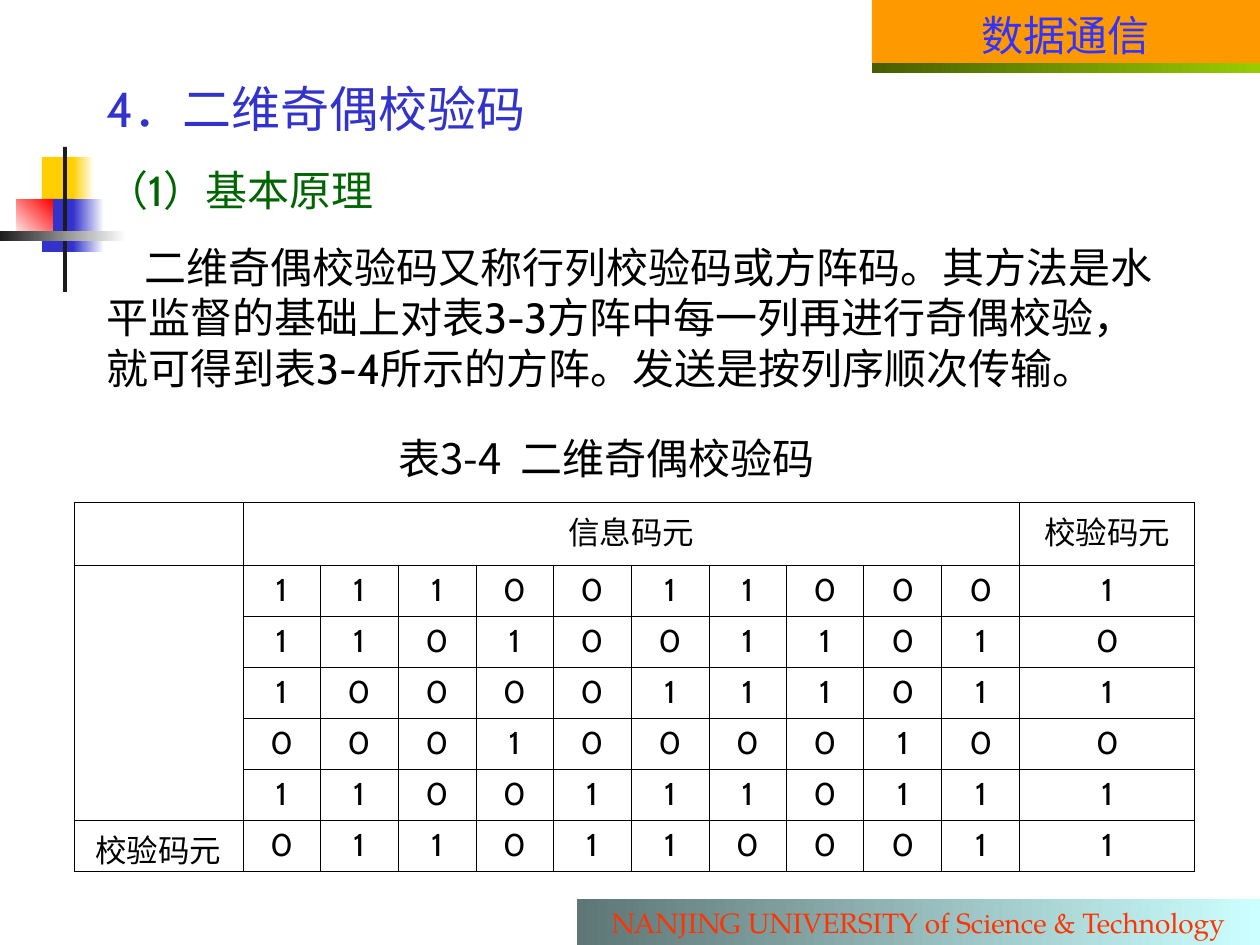
"""Build the slide on the two-dimensional parity check code."""
from dataclasses import dataclass
from typing import Optional

from lxml import etree
from pptx import Presentation
from pptx.dml.color import RGBColor
from pptx.enum.shapes import MSO_SHAPE
from pptx.enum.text import PP_ALIGN
from pptx.oxml.ns import qn
from pptx.util import Emu, Pt

RECT = MSO_SHAPE.RECTANGLE
CENTER, LEFT = PP_ALIGN.CENTER, PP_ALIGN.LEFT
LATIN, CJK, SERIF = "Cabin", "Noto Sans CJK SC", "TeX Gyre Pagella"
COLORS = {
    "yellow": "FFCF01", "white": "FFFFFF", "blue": "3333CC", "red": "FF0000",
    "dark": "1C1C1C", "orange": "FF9900", "teal": "5E7676", "aqua": "CCFFFF",
    "olive": "475E00", "lime": "99CC00", "banner": "3333FF", "footer": "FF3300",
    "title": "3232CC", "green": "006500", "black": "000000",
}
BITS = ["11100110001", "11010011010", "10000111011",
        "00010000100", "11001110111", "01101100011"]


@dataclass
class Panel:
    box: tuple[int, int, int, int]
    start: str
    end: Optional[str] = None
    angle: int = 0


@dataclass
class Line:
    segments: list[tuple[str, str]]
    size: int
    color: str
    align: PP_ALIGN = LEFT
    before: int = 0
    spacing: Optional[float] = None
    indent: int = 0


PANELS = [
    Panel((42, 157, 36, 48), "yellow"),
    Panel((73, 157, 21, 53), "yellow", "white"),
    Panel((42, 199, 31, 53), "blue"),
    Panel((73, 199, 31, 53), "blue", "white"),
    Panel((17, 199, 36, 42), "white", "red", 45),
    Panel((63, 147, 4, 145), "dark"),
    Panel((0, 231, 126, 10), "dark", "white"),
    Panel((872, 63, 388, 10), "olive", "lime"),
]
BODY = [
    Line([("4", LATIN), ("．二维奇偶校验码", CJK)], 28, "title", spacing=34),
    Line([("（", CJK), ("1", LATIN), ("）基本原理", CJK)], 24, "green", before=15, spacing=29),
    Line([("二维奇偶校验码又称行列校验码或方阵码。其方法是水平监督的基础上对表", CJK),
          ("3-3", LATIN), ("方阵中每一列再进行奇偶校验，就可得到表", CJK),
          ("3-4", LATIN), ("所示的方阵。发送是按列序顺次传输。", CJK)],
         24, "black", before=15, spacing=29, indent=38),
]


def px(n: int) -> Emu:
    """Convert slide pixels to EMU."""
    return Emu(round(n * 914400 / 126))


def rgb(name: str) -> RGBColor:
    """Look up a palette colour."""
    return RGBColor.from_string(COLORS[name])


def draw_panel(s, panel: Panel):
    """Draw a borderless rectangle with a flat or gradient fill."""
    sp = s.shapes.add_shape(RECT, *map(px, panel.box))
    sp.shadow.inherit = False
    sp.line.fill.background()
    if panel.end:
        sp.fill.gradient()
        sp.fill.gradient_angle = panel.angle
        for position, (stop, name) in enumerate(zip(sp.fill.gradient_stops, (panel.start, panel.end))):
            stop.position = position
            stop.color.rgb = rgb(name)
    else:
        sp.fill.solid()
        sp.fill.fore_color.rgb = rgb(panel.start)
    return sp


def write_line(p, line: Line) -> None:
    """Fill a paragraph with the runs of a line."""
    p.alignment = line.align
    if line.before:
        p.space_before = Pt(line.before)
    if line.spacing:
        p.line_spacing = Pt(line.spacing)
    if line.indent:
        p._p.get_or_add_pPr().set("indent", str(px(line.indent)))
    for text, face in line.segments:
        r = p.add_run()
        r.text = text
        r.font.size = Pt(line.size)
        r.font.name = face
        r.font.color.rgb = rgb(line.color)
        ea = etree.SubElement(r._r.get_or_add_rPr(), qn("a:ea"))
        ea.set("typeface", CJK)


def write_frame(sp, lines: list[Line], top: int = 9, bottom: int = 3) -> None:
    """Write lines into a wrapping text frame."""
    tf = sp.text_frame
    tf.word_wrap = True
    tf.margin_top, tf.margin_bottom = px(top), px(bottom)
    for i, line in enumerate(lines):
        write_line(tf.add_paragraph() if i else tf.paragraphs[0], line)


def draw_text(s, box: tuple[int, int, int, int], lines: list[Line]) -> None:
    """Add a text box with the given lines."""
    write_frame(s.shapes.add_textbox(*map(px, box)), lines)


def style_cell(cell) -> None:
    """Give a cell thin black borders and no fill."""
    cell.fill.background()
    tcPr = cell._tc.get_or_add_tcPr()
    for i, side in enumerate(("lnL", "lnR", "lnT", "lnB")):
        ln = etree.Element(qn(f"a:{side}"), w=str(Pt(0.45)))
        fill = etree.SubElement(ln, qn("a:solidFill"))
        etree.SubElement(fill, qn("a:srgbClr"), val=COLORS["black"])
        tcPr.insert(i, ln)


def draw_table(s) -> None:
    """Draw the parity table with its merged headings."""
    bits_width = 777
    edges = [i * bits_width // 10 for i in range(11)]
    widths = [169] + [b - a for a, b in zip(edges, edges[1:])] + [175]
    heights = [63] + [51] * len(BITS)
    box = (74, 502, sum(widths), sum(heights))
    table = s.shapes.add_table(len(heights), len(widths), *map(px, box)).table
    table.first_row = table.horz_banding = False
    for column, width in zip(table.columns, widths):
        column.width = px(width)
    for row, height in zip(table.rows, heights):
        row.height = px(height)
    for cell in table.iter_cells():
        style_cell(cell)
    table.cell(0, 1).merge(table.cell(0, 10))
    table.cell(1, 0).merge(table.cell(5, 0))
    table.cell(6, 0).margin_bottom = 0
    values = {(0, 1): "信息码元", (0, 11): "校验码元", (6, 0): "校验码元"}
    values.update({(i, j): bit for i, bits in enumerate(BITS, 1) for j, bit in enumerate(bits, 1)})
    for (i, j), value in values.items():
        write_line(table.cell(i, j).text_frame.paragraphs[0],
                   Line([(value, LATIN)], 18, "black", CENTER))


def main() -> None:
    """Assemble and save the slide."""
    prs = Presentation()
    prs.slide_width, prs.slide_height = px(1260), px(945)
    s = prs.slides.add_slide(prs.slide_layouts[6])
    for panel in PANELS:
        draw_panel(s, panel)
    banner = draw_panel(s, Panel((872, 0, 388, 63), "orange"))
    write_frame(banner, [Line([("数据通信", LATIN)], 24, "banner", CENTER, spacing=29)])
    footer = draw_panel(s, Panel((577, 899, 683, 46), "teal", "aqua"))
    write_frame(footer, [Line([("NANJING UNIVERSITY of Science & Technology", SERIF)],
                              16, "footer", CENTER)], 6, 6)
    draw_text(s, (94, 69, 1091, 326), BODY)
    draw_table(s)
    draw_text(s, (386, 423, 508, 63),
              [Line([("表3-4  二维奇偶校验码", CJK)], 24, "black", spacing=29)])
    prs.save("out.pptx")


if __name__ == "__main__":
    main()
